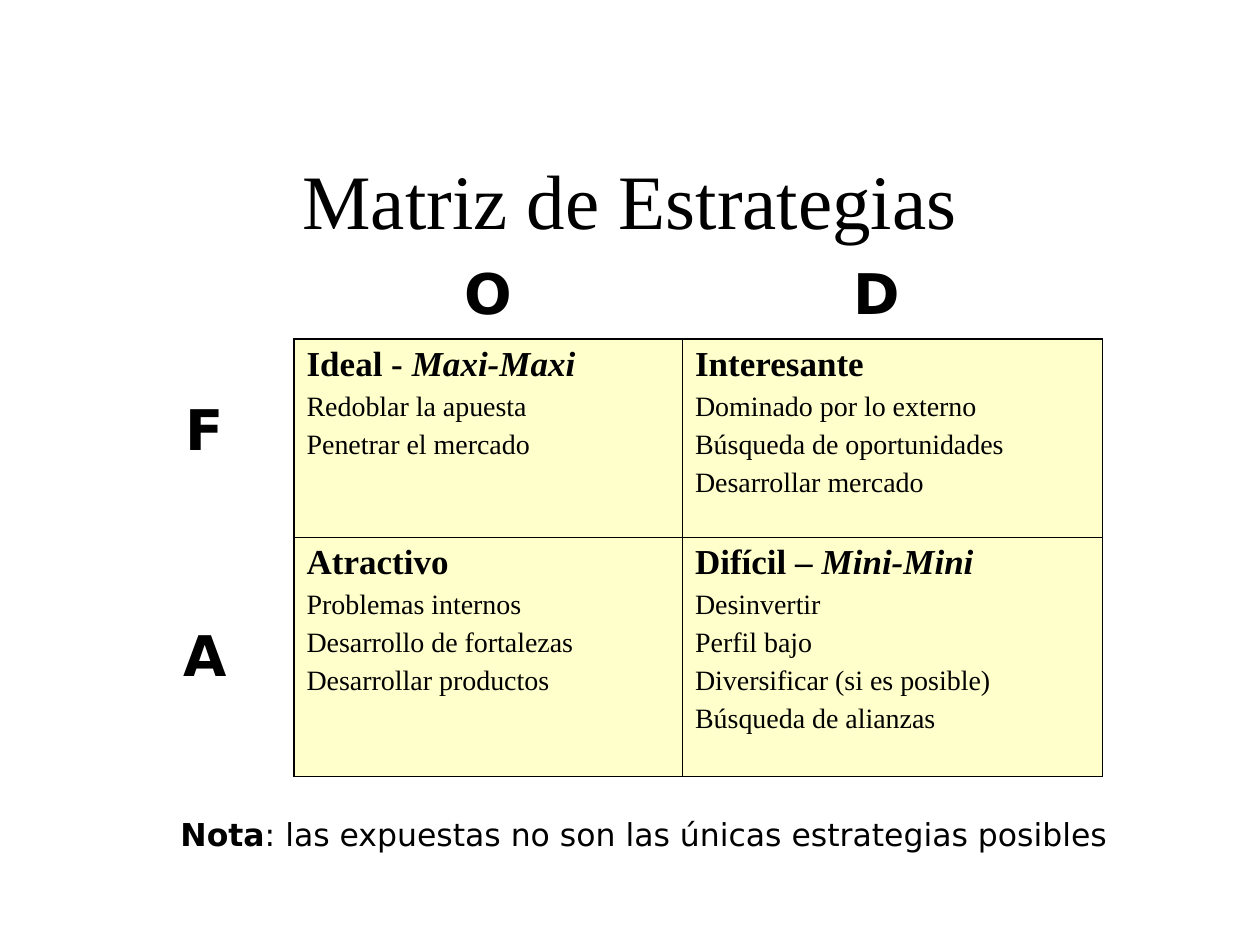
"""Build the slide with the strategy matrix."""
from dataclasses import dataclass

from lxml import etree
from pptx import Presentation
from pptx import util as u
from pptx.dml.color import RGBColor
from pptx.enum import text
from pptx.oxml import ns


@dataclass(frozen=True)
class Theme:
    """Colours, fonts, type sizes and line widths."""
    ink: str = "000000"
    cell: str = "FFFFCC"
    serif: str = "Times New Roman"
    sans: str = "DejaVu Sans"
    title: int = 44
    letter: int = 32
    heading: int = 20
    note: int = 18
    body: int = 16
    outer: float = 1.08
    inner: float = 0.45


THEME = Theme()
GRID = u.Inches(10) / 120
COLS, ROWS = (37, 40), (18.84, 22.8)
LEFT, TOP = 28, 32.3
MATRIX = [
    [(("Ideal - ", "Maxi-Maxi"),
      ["Redoblar la apuesta", "Penetrar el mercado"]),
     (("Interesante",),
      ["Dominado por lo externo", "Búsqueda de oportunidades",
       "Desarrollar mercado"])],
    [(("Atractivo",),
      ["Problemas internos", "Desarrollo de fortalezas",
       "Desarrollar productos"]),
     (("Difícil – ", "Mini-Mini"),
      ["Desinvertir", "Perfil bajo", "Diversificar (si es posible)",
       "Búsqueda de alianzas"])],
]


def grid(*units):
    """Turn grid units into slide lengths."""
    return [u.Emu(round(n * GRID)) for n in units]


def style(r, size, face, bold=False, italic=False):
    """Format one run."""
    r.font.size, r.font.name = u.Pt(size), face
    r.font.bold, r.font.italic = bold, italic
    r.font.color.rgb = RGBColor.from_string(THEME.ink)


def add_run(p, words, *look, **marks):
    """Append a formatted run to a paragraph."""
    r = p.add_run()
    r.text = words
    style(r, *look, **marks)


def set_title(s, words):
    """Place and format the title."""
    sp = s.shapes.title
    sp.left, sp.top, sp.width, sp.height = grid(9, 15, 102, 7.9)
    tf = sp.text_frame
    tf.text = words
    tf.auto_size = text.MSO_AUTO_SIZE.NONE
    tf.vertical_anchor = text.MSO_ANCHOR.MIDDLE
    p = tf.paragraphs[0]
    p.alignment = text.PP_ALIGN.CENTER
    style(p.runs[0], THEME.title, THEME.serif)


def add_box(s, *place):
    """Add a wrapping text box and return its first paragraph."""
    tf = s.shapes.add_textbox(*grid(*place)).text_frame
    tf.word_wrap = True
    tf.auto_size = text.MSO_AUTO_SIZE.SHAPE_TO_FIT_TEXT
    return tf.paragraphs[0]


def add_letter(s, letter, left, top):
    """Add an axis letter beside the matrix."""
    p = add_box(s, left, top, 9, 7.7)
    p.alignment = text.PP_ALIGN.CENTER
    add_run(p, letter, THEME.letter, THEME.sans, bold=True)


def set_borders(cell, row, col):
    """Draw thicker lines on the outside of the matrix."""
    outer = {"L": col == 0, "R": col == len(COLS) - 1,
             "T": row == 0, "B": row == len(ROWS) - 1}
    tc_pr = cell._tc.get_or_add_tcPr()
    for side, is_outer in outer.items():
        width = u.Pt(THEME.outer if is_outer else THEME.inner)
        ln = etree.SubElement(tc_pr, ns.qn(f"a:ln{side}"), w=str(int(width)))
        fill = etree.SubElement(ln, ns.qn("a:solidFill"))
        etree.SubElement(fill, ns.qn("a:srgbClr"), val=THEME.ink)


def fill_cell(cell, heading, lines):
    """Write a heading and its strategies into a cell."""
    cell.fill.solid()
    cell.fill.fore_color.rgb = RGBColor.from_string(THEME.cell)
    tf = cell.text_frame
    for i, words in enumerate(heading):
        add_run(tf.paragraphs[0], words, THEME.heading, THEME.serif,
                bold=True, italic=i > 0)
    for line in lines:
        p = tf.add_paragraph()
        p.space_before = u.Pt(4)
        add_run(p, line, THEME.body, THEME.serif)


def add_matrix(s):
    """Add the two-by-two table of strategies."""
    table = s.shapes.add_table(
        len(ROWS), len(COLS), *grid(LEFT, TOP, sum(COLS), sum(ROWS))).table
    table.first_row = table.horz_banding = False
    for column, width in zip(table.columns, grid(*COLS)):
        column.width = width
    for row, height in zip(table.rows, grid(*ROWS)):
        row.height = height
    for i, row in enumerate(MATRIX):
        for j, (heading, lines) in enumerate(row):
            cell = table.cell(i, j)
            set_borders(cell, i, j)
            fill_cell(cell, heading, lines)


def add_note(s, label, words):
    """Add the note under the matrix."""
    p = add_box(s, 16, 77, 100, 4.8)
    add_run(p, label, THEME.note, THEME.sans, bold=True)
    add_run(p, words, THEME.note, THEME.sans)


def main():
    """Build and save the slide."""
    prs = Presentation()
    prs.slide_width, prs.slide_height = grid(120, 90)
    s = prs.slides.add_slide(prs.slide_layouts[5])
    set_title(s, "Matriz de Estrategias")
    add_matrix(s)
    for letter, top in (("F", 37), ("A", 58.5)):
        add_letter(s, letter, 15, top)
    for i, letter in enumerate("OD"):
        add_letter(s, letter, 42 + i * COLS[0], 24)
    add_note(s, "Nota", ": las expuestas no son las únicas estrategias posibles")
    prs.save("out.pptx")


if __name__ == "__main__":
    main()
